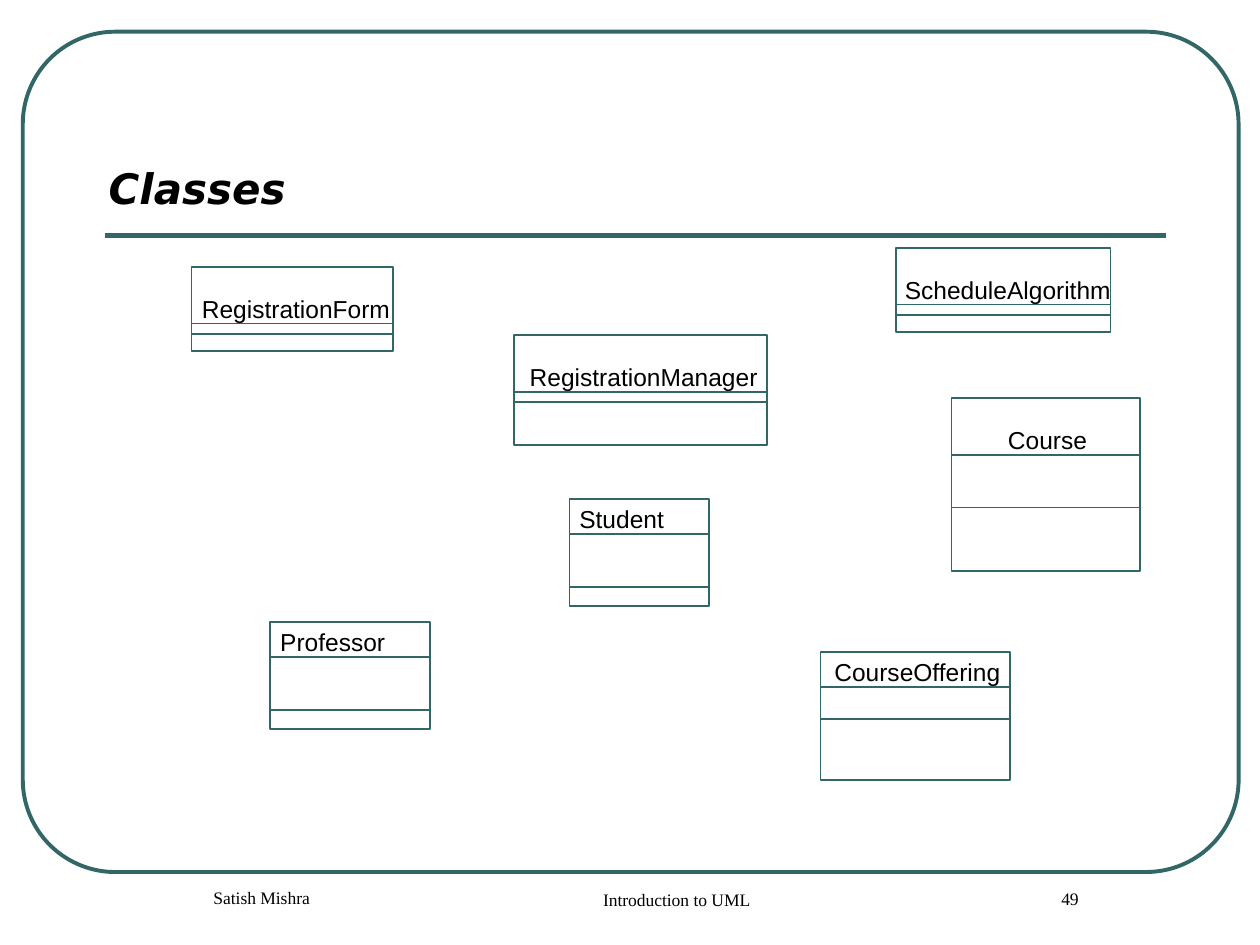
from lxml.etree import SubElement
from pptx import Presentation
from pptx.dml.color import RGBColor
from pptx.enum.shapes import MSO_CONNECTOR as Connector, MSO_SHAPE as Shape
from pptx.enum.text import MSO_ANCHOR as Anchor, MSO_AUTO_SIZE as AutoSize, PP_ALIGN as Align
from pptx.oxml.ns import qn
from pptx.util import Cm, Pt

COLORS = {"teal": "336666", "text": "000000"}
NAME_HEIGHT = 0.6

# name, left, top, width, height, name inset, name width, name depth, attribute depth
CLASSES = [
    ("RegistrationForm", 3.86, 5.38, 4.06, 1.7, 0.21, 3.85, 1.14, 0.21),
    ("RegistrationManager", 10.36, 6.76, 5.11, 2.21, 0.32, 4.65, 1.14, 0.21),
    ("Course", 19.18, 8.03, 3.81, 3.48, 1.14, 1.65, 1.14, 1.06),
    ("Student", 11.48, 10.06, 2.82, 2.16, 0.2, 1.8, 0.71, 1.06),
    ("CourseOffering", 16.54, 13.14, 3.82, 2.59, 0.28, 3.4, 0.71, 0.64),
    ("Professor", 5.44, 12.54, 3.23, 2.16, 0.21, 2.2, 0.71, 1.06),
    ("ScheduleAlgorithm", 18.06, 5.0, 4.33, 1.7, 0.18, 4.2, 1.14, 0.21),
]

# text, left, top, width
FOOTERS = [
    ("Introduction to UML", 9.31, 17.79, 8.05),
    ("49", 19.04, 17.77, 4.45),
    ("Satish Mishra", 2.11, 17.75, 5.72),
]


class SlideBuilder:
    def __init__(self, slide):
        self.slide = slide

    def color(self, name):
        return RGBColor.from_string(COLORS[name])

    def style_font(self, paragraph, name, size, bold=False, italic=False):
        font = paragraph.font
        font.name, font.size = name, Pt(size)
        font.bold, font.italic = bold, italic
        font.color.rgb = self.color("text")

    def set_margins(self, frame, horizontal, vertical):
        frame.margin_left = frame.margin_right = Cm(horizontal)
        frame.margin_top = frame.margin_bottom = Cm(vertical)

    def outline(self, shapes, kind, left, top, width, height, weight):
        shape = shapes.add_shape(kind, Cm(left), Cm(top), Cm(width), Cm(height))
        shape.shadow.inherit = False
        shape.fill.background()
        shape.line.color.rgb = self.color("teal")
        shape.line.width = Pt(weight)
        return shape

    def rule(self, shapes, left, top, width, weight):
        line = shapes.add_connector(
            Connector.STRAIGHT, Cm(left), Cm(top), Cm(left + width), Cm(top))
        line.line.color.rgb = self.color("teal")
        line.line.width = Pt(weight)
        SubElement(line._element.spPr, qn("a:effectLst"))

    def title(self, text):
        shape = self.slide.shapes.title
        shape.left, shape.top = Cm(2.03), Cm(3.22)
        shape.width, shape.height = Cm(18.11), Cm(1.14)
        frame = shape.text_frame
        frame.text = text
        frame.vertical_anchor = Anchor.TOP
        self.set_margins(frame, 0.16, 0.05)
        paragraph = frame.paragraphs[0]
        paragraph.alignment = Align.LEFT
        self.style_font(paragraph, "DejaVu Sans", 24, bold=True, italic=True)

    def text_box(self, shapes, text, left, top, width, height):
        frame = shapes.add_textbox(
            Cm(left), Cm(top), Cm(width), Cm(height)).text_frame
        frame.text = text
        return frame, frame.paragraphs[0]

    def class_box(self, name, left, top, width, height,
                  inset, name_width, name_depth, attribute_depth):
        shapes = self.slide.shapes.add_group_shape().shapes
        self.outline(shapes, Shape.RECTANGLE, left, top, width, height, 1)
        divider = top + name_depth
        frame, paragraph = self.text_box(
            shapes, name, left + inset, divider - NAME_HEIGHT, name_width, NAME_HEIGHT)
        frame.word_wrap = False
        frame.auto_size = AutoSize.NONE
        self.set_margins(frame, 0, 0)
        self.style_font(paragraph, "Arial", 14)
        for y in (divider, divider + attribute_depth):
            self.rule(shapes, left, y, width, 1)

    def footer(self, text, left, top, width):
        frame, paragraph = self.text_box(
            self.slide.shapes, text, left, top, width, 1.27)
        frame.word_wrap = True
        self.set_margins(frame, 0.25, 0.13)
        paragraph.alignment = Align.CENTER
        paragraph._p.get_or_add_pPr().set("marL", str(Cm(0.61)))
        self.style_font(paragraph, "Times New Roman", 10)


def main():
    presentation = Presentation()
    presentation.slide_width, presentation.slide_height = Cm(25.4), Cm(19.05)
    slide = presentation.slides.add_slide(presentation.slide_layouts[5])
    builder = SlideBuilder(slide)

    # Frame, title and title rule
    frame = builder.outline(
        slide.shapes, Shape.ROUNDED_RECTANGLE, 0.46, 0.64, 24.51, 16.94, 2.25)
    frame.adjustments[0] = 0.11
    builder.rule(slide.shapes, 2.11, 4.75, 21.39, 3)
    builder.title("Classes")

    # Class boxes
    for class_row in CLASSES:
        builder.class_box(*class_row)

    # Footers
    for footer_row in FOOTERS:
        builder.footer(*footer_row)

    presentation.save("out.pptx")


if __name__ == "__main__":
    main()
